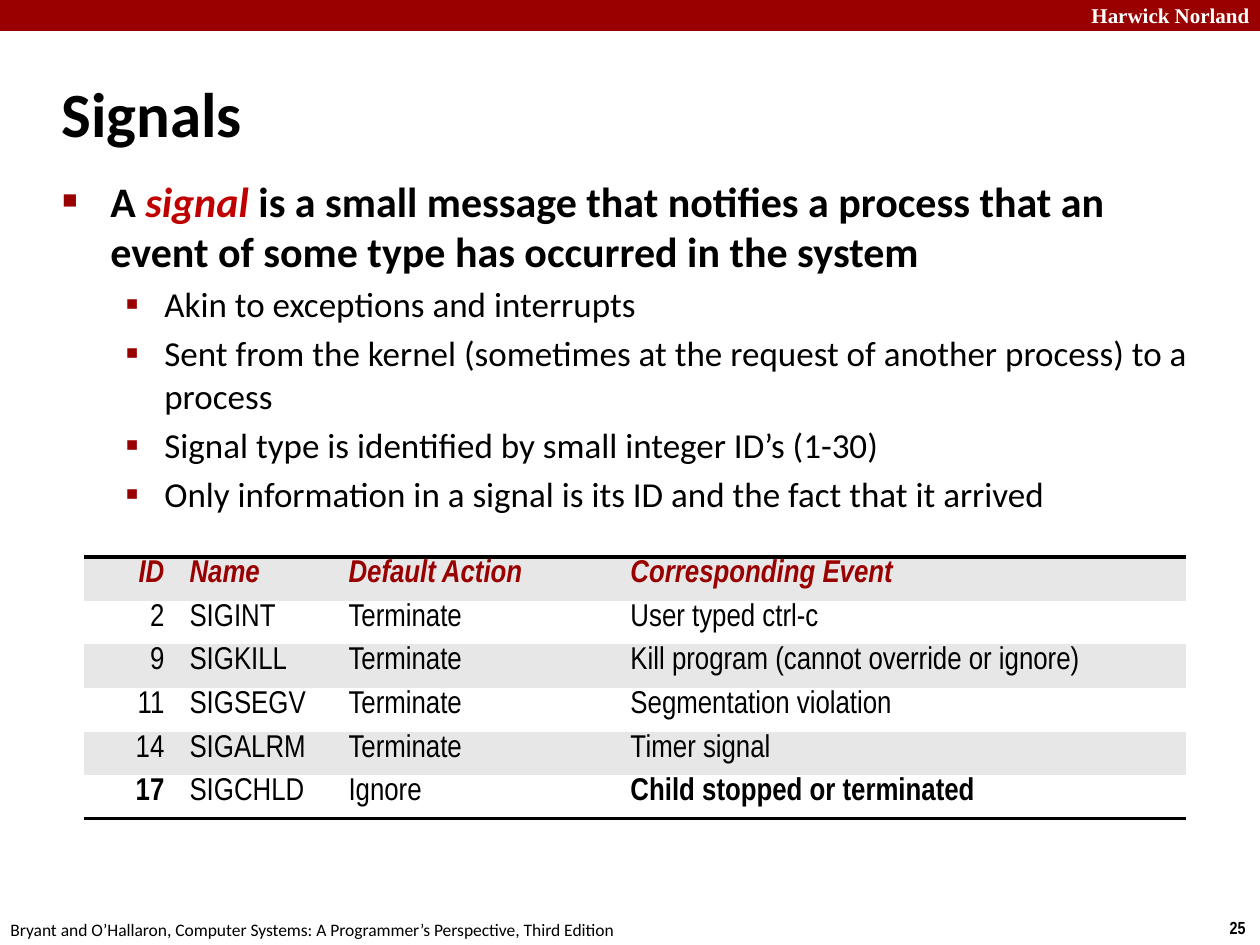
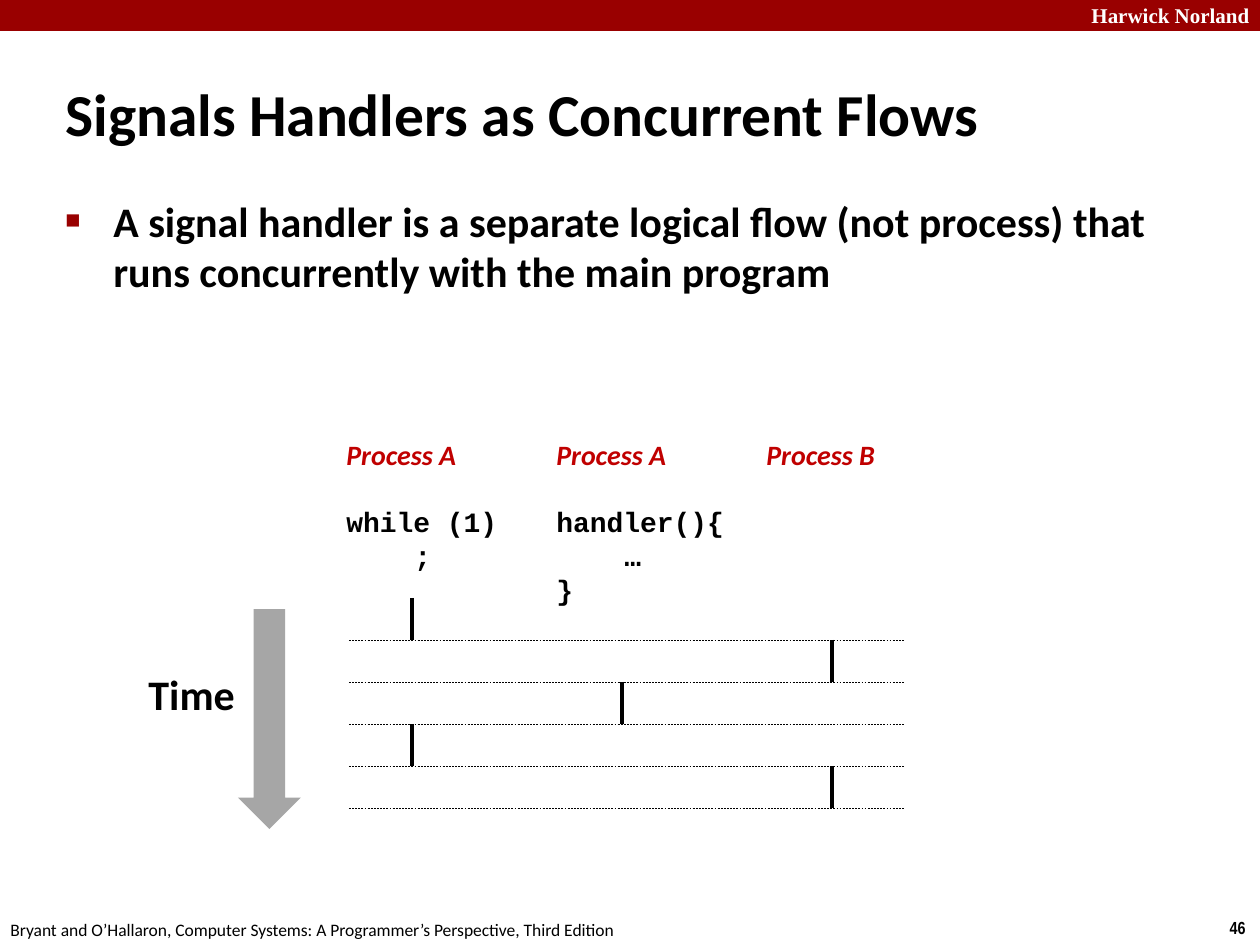
import pptx
import pptx.dml.color
import pptx.enum.dml
import pptx.enum.shapes
import pptx.enum.text
import pptx.oxml
import pptx.oxml.ns
import pptx.util

SCALE = 914400 / 126
SLIDE_WIDTH, SLIDE_HEIGHT = 1260, 945
CRIMSON, EMPHASIS, BLACK, WHITE = "990000", "C00000", "000000", "FFFFFF"
STRIPE, ARROW_GRAY = "E7E7E7", "A6A6A6"
BODY_FONT, TABLE_FONT, CODE_FONT, BAND_FONT = "Calibri", "Arial Narrow", "Courier New", "Times New Roman"
BAND_NAME = "Harwick Norland"
CITATION = "Bryant and O’Hallaron, Computer Systems: A Programmer’s Perspective, Third Edition"
NO_TABLE_STYLE = "{2D5ABB26-0587-4C30-8999-92F81FD0307C}"
RIGHT = pptx.enum.text.PP_ALIGN.RIGHT

BULLET_LEVELS = [
    {"size": 24, "bold": True, "left": 48, "hang": 48, "before": 5, "mark": "■", "percent": 60},
    {"size": 20, "bold": False, "left": 102, "hang": 39, "before": 4, "mark": "▪", "percent": 110},
]
SIGNAL_POINTS = [
    (0, ["A ", "signal", " is a small message that notifies a process that an event of some type has occurred in the system"]),
    (1, ["Akin to exceptions and interrupts"]),
    (1, ["Sent from the kernel (sometimes at the request of another process) to a process"]),
    (1, ["Signal type is identified by small integer ID’s (1-30)"]),
    (1, ["Only information in a signal is its ID and the fact that it arrived"]),
]
HANDLER_POINTS = [
    (0, ["A signal handler is a separate logical flow (not process) that runs concurrently with the main program"]),
]
SIGNAL_ROWS = [
    ["ID", "Name", "Default Action", "Corresponding Event"],
    ["2", "SIGINT", "Terminate", "User typed ctrl-c"],
    ["9", "SIGKILL", "Terminate", "Kill program (cannot override or ignore)"],
    ["11", "SIGSEGV", "Terminate", "Segmentation violation"],
    ["14", "SIGALRM", "Terminate", "Timer signal"],
    ["17", "SIGCHLD", "Ignore", "Child stopped or terminated"],
]
BOLD_CELLS = {"17", "Child stopped or terminated"}
FLOWS = [
    ("Process A", [("while (1)", 0), (";", 4)]),
    ("Process A", [("handler(){", 0), ("…", 4), ("}", 0)]),
    ("Process B", []),
]
RUNNING_FLOWS = [0, 2, 1, 0, 2]


def px(length):
    """Turn pixels into EMU."""
    return pptx.util.Emu(round(length * SCALE))


def color(hex_code):
    """Turn a hex string into a colour."""
    return pptx.dml.color.RGBColor.from_string(hex_code)


def style(paragraph, size, font=BODY_FONT, ink=BLACK, bold=False, italic=False):
    """Format every run of a paragraph."""
    for run in paragraph.runs:
        run.font.size = pptx.util.Pt(size)
        run.font.name = font
        run.font.bold = bold
        run.font.italic = italic
        run.font.color.rgb = color(ink)


def add_frame(slide, left, top, width, height):
    """Add a wrapping text box and return its text frame."""
    frame = slide.shapes.add_textbox(px(left), px(top), px(width), px(height)).text_frame
    frame.word_wrap = True
    return frame


def add_label(slide, box, text, size, align=None, **look):
    """Add a single-line label."""
    label = add_frame(slide, *box).paragraphs[0]
    label.text = text
    label.alignment = align
    style(label, size, **look)


def add_block(slide, kind, box, fill):
    """Add a plain filled shape without outline."""
    block = slide.shapes.add_shape(kind, *map(px, box))
    block.shadow.inherit = False
    block.fill.solid()
    block.fill.fore_color.rgb = color(fill)
    block.line.fill.background()


def add_line(slide, start, end, width, dash=None):
    """Add a straight black line."""
    line = slide.shapes.add_connector(pptx.enum.shapes.MSO_CONNECTOR.STRAIGHT, *map(px, start + end))
    line.line.color.rgb = color(BLACK)
    line.line.width = pptx.util.Pt(width)
    line.line.dash_style = dash
    properties = line._element.spPr
    properties.append(properties.makeelement(pptx.oxml.ns.qn("a:effectLst"), {}))


def set_indent(paragraph, left, first=0):
    """Set the left margin and first-line indent of a paragraph."""
    properties = paragraph._p.get_or_add_pPr()
    properties.set("marL", str(px(left)))
    properties.set("indent", str(px(first)))
    return properties


def add_xml(parent, markup, index=None):
    """Put DrawingML markup into a parent element."""
    namespace = pptx.oxml.ns.nsdecls("a")
    element = pptx.oxml.parse_xml(markup.replace("@", namespace, 1))
    parent.insert(len(parent) if index is None else index, element)


def start_slide(deck, title, title_left, title_size, number):
    """Add a slide with the band, title and footers."""
    slide = deck.slides.add_slide(deck.slide_layouts[5])
    add_block(slide, pptx.enum.shapes.MSO_SHAPE.RECTANGLE, (0, 0, SLIDE_WIDTH, 31), CRIMSON)
    add_label(slide, (1060, -4, 202, 38), BAND_NAME, 12, RIGHT, font=BAND_FONT, ink=WHITE, bold=True)
    add_label(slide, (1208, 911, 50, 34), number, 10, RIGHT, font=TABLE_FONT, bold=True)
    add_label(slide, (-2, 913, 660, 32), CITATION, 10)
    heading = slide.shapes.title
    heading.left, heading.top, heading.width, heading.height = map(px, (title_left, 60, 1046, 105))
    frame = heading.text_frame
    frame.text = title
    frame.auto_size = pptx.enum.text.MSO_AUTO_SIZE.NONE
    frame.vertical_anchor = pptx.enum.text.MSO_ANCHOR.MIDDLE
    frame.paragraphs[0].alignment = pptx.enum.text.PP_ALIGN.LEFT
    style(frame.paragraphs[0], title_size, bold=True)
    return slide


def add_bullets(slide, box, points):
    """Add bulleted points; the second part of a point is emphasised."""
    frame = add_frame(slide, *box)
    for index, (level, parts) in enumerate(points):
        point = frame.add_paragraph() if index else frame.paragraphs[0]
        look = BULLET_LEVELS[level]
        for part in parts:
            point.add_run().text = part
        style(point, look["size"], bold=look["bold"])
        for run in point.runs[1:2]:
            run.font.italic = True
            run.font.color.rgb = color(EMPHASIS)
        point.level = level
        point.space_before = pptx.util.Pt(look["before"])
        properties = set_indent(point, look["left"], -look["hang"])
        add_xml(properties, f'<a:buClr @><a:srgbClr val="{CRIMSON}"/></a:buClr>')
        add_xml(properties, f'<a:buSzPct @ val="{look["percent"] * 1000}"/>')
        add_xml(properties, f'<a:buFont @ typeface="{BAND_FONT}"/>')
        add_xml(properties, f'<a:buChar @ char="{look["mark"]}"/>')


def add_rule(cell, side):
    """Draw a black border on one side of a cell."""
    markup = (f'<a:{side} @ w="25400"><a:solidFill><a:srgbClr val="{BLACK}"/>'
              f'</a:solidFill></a:{side}>')
    add_xml(cell._tc.get_or_add_tcPr(), markup, 0)


def add_signal_table(slide, left, top, column_widths, height):
    """Add the striped table of signals with rules above and below."""
    last = len(SIGNAL_ROWS) - 1
    box = map(px, (left, top, sum(column_widths), height))
    table = slide.shapes.add_table(len(SIGNAL_ROWS), len(column_widths), *box).table
    table.first_row = table.horz_banding = False
    table._tbl.tblPr.find(pptx.oxml.ns.qn("a:tableStyleId")).text = NO_TABLE_STYLE
    for column, width in zip(table.columns, column_widths):
        column.width = px(width)
    for row_index, texts in enumerate(SIGNAL_ROWS):
        header = row_index == 0
        for column_index, text in enumerate(texts):
            cell = table.cell(row_index, column_index)
            cell.margin_top, cell.margin_bottom = px(3), 0
            cell.fill.solid()
            cell.fill.fore_color.rgb = color(WHITE if row_index % 2 else STRIPE)
            entry = cell.text_frame.paragraphs[0]
            entry.text = text
            entry.line_spacing = 0.95
            entry.alignment = None if column_index else RIGHT
            style(entry, 18, TABLE_FONT, CRIMSON if header else BLACK,
                  header or text in BOLD_CELLS, header)
            if header:
                add_rule(cell, "lnT")
            if row_index == last:
                add_rule(cell, "lnB")


def add_flow_heading(slide, left, top, process, code):
    """Add a process name with its code below."""
    frame = add_frame(slide, left, top, 205, 181)
    frame.text = "\n".join([process] + [text for text, _ in code])
    heading, *code_lines = frame.paragraphs
    style(heading, 16, ink=EMPHASIS, bold=True, italic=True)
    for paragraph in frame.paragraphs:
        paragraph.line_spacing = pptx.util.Pt(19.3)
    for code_line, (_, columns) in zip(code_lines, code):
        style(code_line, 16, CODE_FONT, bold=True)
        set_indent(code_line, columns * 17)
    if code_lines:
        code_lines[0].space_before = pptx.util.Pt(19.3)


def add_flow_diagram(slide, left, top):
    """Add the flows side by side, with the one running in each time slice."""
    lane, slice_height, first_slice = 210, 42, 167
    for index, (process, code) in enumerate(FLOWS):
        add_flow_heading(slide, left + index * lane, top, process, code)
    for index, flow in enumerate(RUNNING_FLOWS):
        begin = top + first_slice + index * slice_height
        end = begin + slice_height
        center = left + 78 + flow * lane
        add_line(slide, (center, begin), (center, end), 2)
        add_line(slide, (left + 15, end), (left + 571, end), 0.25, pptx.enum.dml.MSO_LINE.DASH)


def add_time_arrow(slide, left, top):
    """Add the time label and the arrow pointing down."""
    add_label(slide, (left, top + 53, 120, 63), "Time", 24, bold=True)
    add_block(slide, pptx.enum.shapes.MSO_SHAPE.DOWN_ARROW, (left + 102, top, 63, 220), ARROW_GRAY)


def build_signals(deck):
    """Build the slide that defines signals."""
    slide = start_slide(deck, "Signals", 49, 36, "25")
    add_bullets(slide, (50, 169, 1157, 378), SIGNAL_POINTS)
    add_signal_table(slide, 84, 557, [93, 159, 282, 568], 262)


def build_handlers(deck):
    """Build the slide on handlers as concurrent flows."""
    slide = start_slide(deck, "Signals Handlers as Concurrent Flows", 53, 34, "46")
    add_bullets(slide, (53, 189, 1145, 179), HANDLER_POINTS)
    add_flow_diagram(slide, 334, 431)
    add_time_arrow(slide, 136, 609)


def main():
    """Build and save the deck."""
    deck = pptx.Presentation()
    deck.slide_width, deck.slide_height = px(SLIDE_WIDTH), px(SLIDE_HEIGHT)
    build_signals(deck)
    build_handlers(deck)
    deck.save("out.pptx")


if __name__ == "__main__":
    main()
